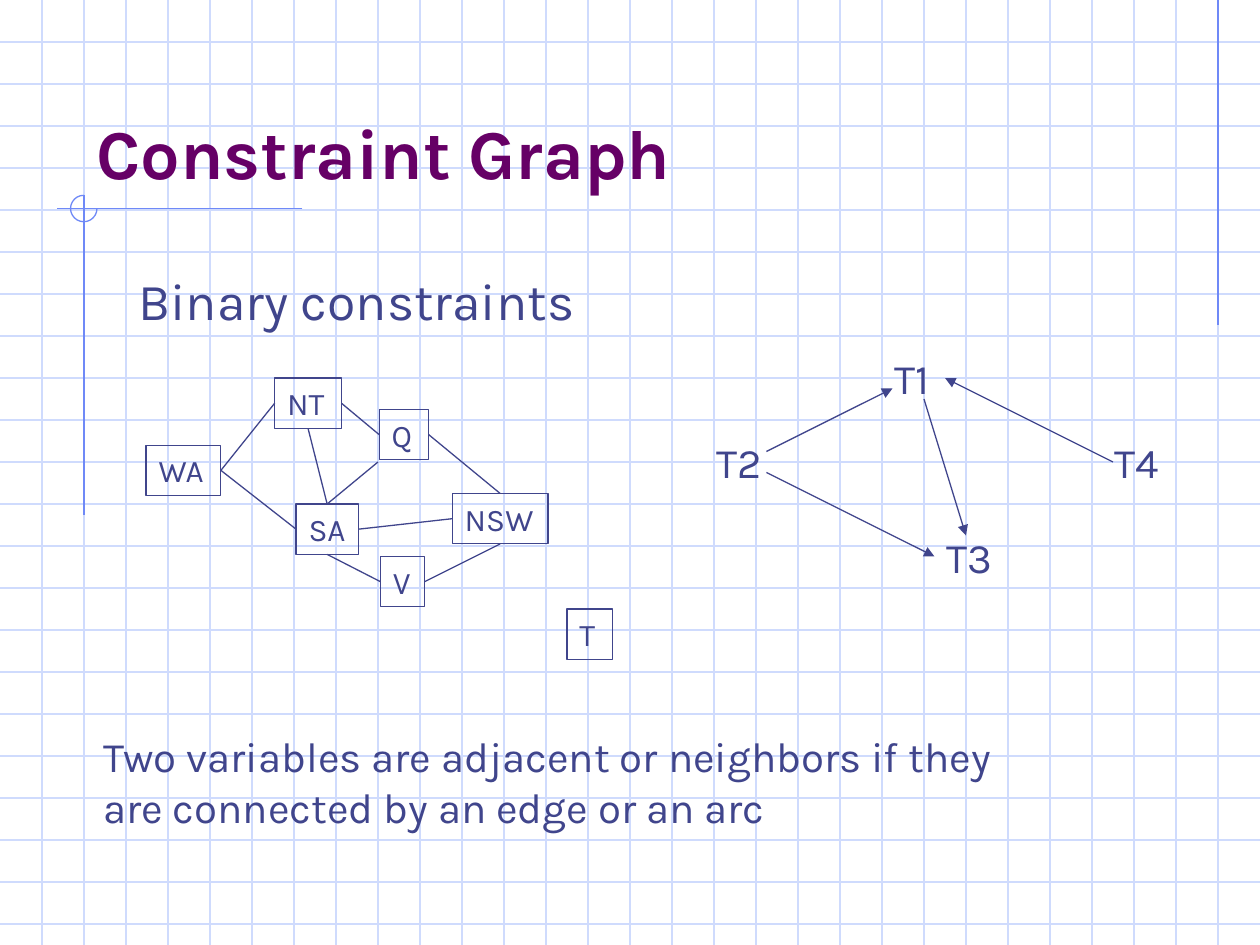
"""Build the constraint graph slide on a squared-paper grid of 30 columns."""
import lxml.etree
import pptx
import pptx.dml.color
import pptx.enum.shapes
import pptx.enum.text
import pptx.oxml.ns
import pptx.util

COLUMNS, ROWS = 30, 22.5
GRID, ACCENT, INK, TITLE = "CFDBFD", "6F89F7", "40458C", "660066"
color = pptx.dml.color.RGBColor.from_string
qualified = pptx.oxml.ns.qn

presentation = pptx.Presentation()
presentation.slide_width = pptx.util.Inches(10)
presentation.slide_height = pptx.util.Inches(7.5)
slide = presentation.slides.add_slide(presentation.slide_layouts[6])
cell = presentation.slide_width / COLUMNS


def add_line(start, end, line_color, arrow=False):
    points = [round(value * cell) for value in (*start, *end)]
    connector = slide.shapes.add_connector(pptx.enum.shapes.MSO_CONNECTOR.STRAIGHT, *points)
    connector.line.color.rgb = color(line_color)
    connector.line.width = pptx.util.Pt(0.75)
    properties = connector._element.spPr
    if arrow:
        line = properties.find(qualified("a:ln"))
        lxml.etree.SubElement(line, qualified("a:tailEnd"), type="triangle")
    lxml.etree.SubElement(properties, qualified("a:effectLst"))
    return connector


def write_text(shape, text, size, font_color=INK, bold=False, wrap=False):
    frame = shape.text_frame
    frame.text = text
    frame.word_wrap = wrap
    frame.vertical_anchor = pptx.enum.text.MSO_ANCHOR.TOP
    for paragraph in frame.paragraphs:
        paragraph.alignment = pptx.enum.text.PP_ALIGN.LEFT
        for run in paragraph.runs:
            run.font.name = "Karla"
            run.font.size = pptx.util.Pt(size)
            run.font.bold = bold
            run.font.color.rgb = color(font_color)


for row in range(1, int(ROWS) + 1):
    add_line((0, row), (COLUMNS, row), GRID)
for column in range(1, COLUMNS):
    add_line((column, 0), (column, ROWS), GRID)

add_line((29, 0), (29, 7.75), ACCENT)
add_line((7.2, 4.97), (1.35, 4.97), ACCENT)
add_line((2, 4.65), (2, 12.27), ACCENT)
arc_box = [round(value * cell) for value in (1.68, 4.65, 0.63, 0.63)]
arc = slide.shapes.add_shape(pptx.enum.shapes.MSO_SHAPE.ARC, *arc_box)
arc.adjustments[0] = 0
arc.adjustments[1] = 162
arc.shadow.inherit = False
arc.fill.background()
arc.line.color.rgb = color(ACCENT)
arc.line.width = pptx.util.Pt(0.75)

title = slide.shapes.add_textbox(*[round(value * cell) for value in (2, 1, 25.5, 3.75)])
write_text(title, "Constraint Graph", 40, TITLE, bold=True, wrap=True)
title.text_frame.vertical_anchor = pptx.enum.text.MSO_ANCHOR.BOTTOM

body = slide.shapes.add_textbox(*[round(value * cell) for value in (3, 6.25, 11.75, 2.75)])
write_text(body, "Binary constraints", 29.6, wrap=True)

regions = {}
for name, left, top, width in [
    ("T", 13.5, 14.5, 1.08),
    ("WA", 3.48, 10.6, 1.78),
    ("NT", 6.54, 9, 1.59),
    ("SA", 7.05, 12, 1.48),
    ("Q", 9.03, 9.75, 1.18),
    ("NSW", 10.77, 11.75, 2.28),
    ("V", 9.06, 13.25, 1.05),
]:
    box = [round(value * cell) for value in (left, top, width, 1.2)]
    region = slide.shapes.add_shape(pptx.enum.shapes.MSO_SHAPE.RECTANGLE, *box)
    region.shadow.inherit = False
    region.fill.background()
    region.line.color.rgb = color(INK)
    region.line.width = pptx.util.Pt(0.75)
    write_text(region, name, 18)
    regions[name] = region

TOP, LEFT, BOTTOM, RIGHT = range(4)
for first, first_side, second, second_side in [
    ("WA", RIGHT, "NT", LEFT),
    ("WA", RIGHT, "SA", LEFT),
    ("NT", BOTTOM, "SA", TOP),
    ("SA", BOTTOM, "V", LEFT),
    ("Q", RIGHT, "NSW", TOP),
    ("NT", RIGHT, "Q", LEFT),
    ("V", RIGHT, "NSW", BOTTOM),
    ("SA", RIGHT, "NSW", LEFT),
]:
    edge = add_line((0, 0), (0, 0), INK)
    edge.begin_connect(regions[first], first_side)
    edge.end_connect(regions[second], second_side)
corner_edge = add_line((9, 11), (7.75, 12), INK)
corner_edge.end_connect(regions["SA"], TOP)

note = slide.shapes.add_textbox(*[round(value * cell) for value in (2.16, 17.25, 22.6, 2.7)])
write_text(note, "Two variables are adjacent or neighbors if they\nare connected by an edge or an arc", 24)

for name, left, top in [("T1", 21, 8.25), ("T2", 16.77, 10.25), ("T3", 22.25, 12.5), ("T4", 26.25, 10.25)]:
    task = slide.shapes.add_textbox(*[round(value * cell) for value in (left, top, 1.71, 1.5)])
    write_text(task, name, 24)

for start, end in [
    ((22, 9.5), (23, 12.75)),
    ((18.25, 10.75), (21.25, 9.25)),
    ((18.25, 11.25), (22.25, 13.25)),
    ((26.5, 11), (22.5, 9)),
]:
    add_line(start, end, INK, arrow=True)

presentation.save("out.pptx")
